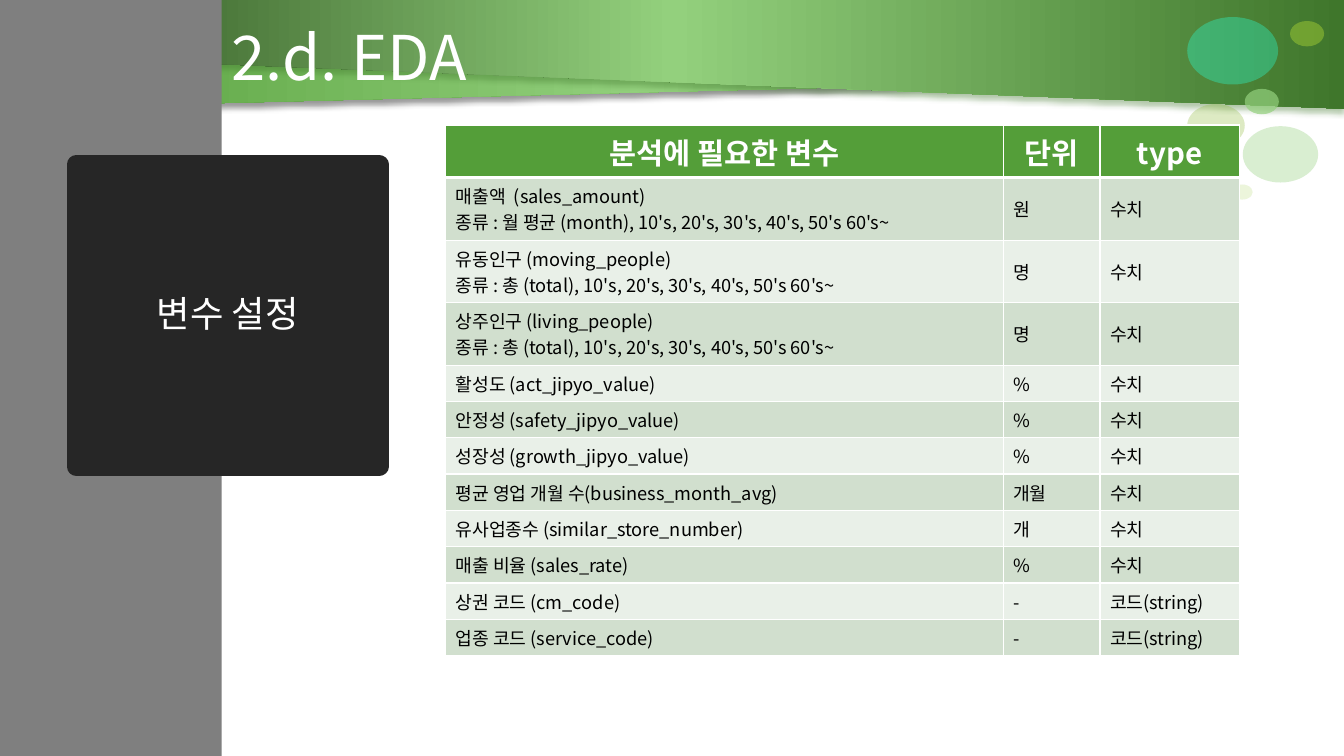
from lxml import etree
from pptx import Presentation
from pptx.dml.color import RGBColor
from pptx.enum.shapes import MSO_SHAPE
from pptx.enum.text import MSO_ANCHOR, MSO_AUTO_SIZE, PP_ALIGN
from pptx.oxml import parse_xml
from pptx.oxml.ns import qn
from pptx.util import Cm, Pt

OVAL, RECTANGLE = MSO_SHAPE.OVAL, MSO_SHAPE.RECTANGLE
MIDDLE, CENTER, LEFT = MSO_ANCHOR.MIDDLE, PP_ALIGN.CENTER, PP_ALIGN.LEFT
FONT = "Noto Sans CJK KR"
DRAWING = 'xmlns:a="http://schemas.openxmlformats.org/drawingml/2006/main"'


def color(hex_string):
    return RGBColor.from_string(hex_string)


def write(text_frame, text, size, hex_string, align=LEFT, bold=False):
    text_frame.text = text
    for paragraph in text_frame.paragraphs:
        paragraph.alignment = align
        for run in paragraph.runs:
            run.font.name = FONT
            run.font.size = Pt(size)
            run.font.bold = bold
            run.font.color.rgb = color(hex_string)
            east_asian = etree.SubElement(run.font._element, qn("a:ea"))
            east_asian.set("typeface", FONT)


presentation = Presentation()
presentation.slide_width, presentation.slide_height = Cm(33.87), Cm(19.05)
slide = presentation.slides.add_slide(presentation.slide_layouts[5])
shapes = slide.shapes

# Green header bands: points in hundredths of a centimetre
bands = [
    ([(0, 0), (3274, 191), (0, 274)], ("549E39", "93D07D", "3F762B"), "000000"),
    ([(3387, 0), (0, 0), (3, 140), (3387, 274)], ("2A4F1C", "93D07D", "3F762B"), "3F762B"),
]
for points, stops, shadow_color in bands:
    builder = shapes.build_freeform(*points[0], scale=Cm(0.01))
    builder.add_line_segments(points[1:], close=True)
    band = builder.convert_to_shape()
    band.line.fill.background()
    gradient_stops = "".join(
        f'<a:gs pos="{index * 50000}"><a:srgbClr val="{stop}"/></a:gs>'
        for index, stop in enumerate(stops))
    gradient = parse_xml(
        f'<a:gradFill {DRAWING} rotWithShape="1"><a:gsLst>{gradient_stops}</a:gsLst>'
        '<a:lin ang="0" scaled="0"/></a:gradFill>')
    shadow = parse_xml(
        f'<a:effectLst {DRAWING}><a:outerShdw blurRad="{Pt(4)}" dist="{Pt(3)}" '
        f'dir="5400000" rotWithShape="0"><a:srgbClr val="{shadow_color}">'
        '<a:alpha val="40000"/></a:srgbClr></a:outerShdw></a:effectLst>')
    properties = band._element.spPr
    properties.find(qn("a:ln")).addprevious(gradient)
    properties.append(shadow)

# Translucent bubbles: left, top, width, height, colour, opacity in percent
bubbles = [
    (31.04, 4.65, 0.53, 0.38, "E8F3D4", 82),
    (29.92, 2.62, 1.45, 1.09, "8AB833", 29),
    (31.32, 3.18, 1.90, 1.42, "93D07D", 35),
    (31.37, 2.24, 0.86, 0.64, "93D07D", 70),
    (29.92, 0.43, 2.29, 1.70, "2BFCCF", 36),
    (32.51, 0.53, 0.86, 0.64, "8AB833", 65),
]
for *box, fill_color, opacity in bubbles:
    bubble = shapes.add_shape(OVAL, *map(Cm, box))
    bubble.shadow.inherit = False
    bubble.line.fill.background()
    bubble.fill.solid()
    bubble.fill.fore_color.rgb = color(fill_color)
    color_element = bubble._element.spPr.find(qn("a:solidFill"))[0]
    etree.SubElement(color_element, qn("a:alpha")).set("val", str(opacity * 1000))

# Grey side bar
side_bar = shapes.add_shape(RECTANGLE, 0, 0, Cm(5.59), Cm(19.05))
side_bar.shadow.inherit = False
side_bar.line.fill.background()
side_bar.fill.solid()
side_bar.fill.fore_color.rgb = color("7F7F7F")

# Dark title block, brought in front of the side bar
title = shapes.title
title.left, title.top, title.width, title.height = Cm(1.93), Cm(4.14), Cm(7.62), Cm(7.62)
title.fill.solid()
title.fill.fore_color.rgb = color("262626")
title.line.color.rgb = color("262626")
title.line.width = Pt(13.75)
etree.SubElement(title.line._get_or_add_ln(), qn("a:round"))
write(title.text_frame, "변수 설정", 26, "FFFFFF", CENTER)
title.text_frame.vertical_anchor = MIDDLE
title.text_frame.auto_size = MSO_AUTO_SIZE.NONE
title.text_frame.paragraphs[0].line_spacing = 0.9
shapes._spTree.append(title._element)

# Variable table
ages = "10's, 20's, 30's, 40's, 50's 60's~"
rows = [
    ("분석에 필요한 변수", "단위", "type"),
    (f"매출액  (sales_amount)\n종류 : 월 평균 (month), {ages}", "원", "수치"),
    (f"유동인구 (moving_people)\n종류 : 총 (total), {ages}", "명", "수치"),
    (f"상주인구 (living_people)\n종류 : 총 (total), {ages}", "명", "수치"),
    ("활성도 (act_jipyo_value)", "%", "수치"),
    ("안정성 (safety_jipyo_value)", "%", "수치"),
    ("성장성 (growth_jipyo_value)", "%", "수치"),
    ("평균 영업 개월 수(business_month_avg)", "개월", "수치"),
    ("유사업종수 (similar_store_number)", "개", "수치"),
    ("매출 비율 (sales_rate)", "%", "수치"),
    ("상권 코드 (cm_code)", "-", "코드(string)"),
    ("업종 코드 (service_code)", "-", "코드(string)"),
]
column_widths = [14.05, 2.44, 3.51]
row_heights = [1.24] + [1.45] * 3 + [0.89] * 8
table = shapes.add_table(
    len(rows), len(column_widths), Cm(11.23), Cm(3.15),
    Cm(sum(column_widths)), Cm(sum(row_heights))).table
for column, width in zip(table.columns, column_widths):
    column.width = Cm(width)
for row_index, (texts, height) in enumerate(zip(rows, row_heights)):
    table.rows[row_index].height = Cm(height)
    is_header = row_index == 0
    for column_index, text in enumerate(texts):
        cell = table.cell(row_index, column_index)
        cell.vertical_anchor = MIDDLE
        cell.fill.solid()
        if is_header:
            cell.fill.fore_color.rgb = color("549E39")
            write(cell.text_frame, text, 21, "FFFFFF", CENTER, bold=True)
        else:
            cell.fill.fore_color.rgb = color("D1DFCE" if row_index % 2 else "E9F0E8")
            write(cell.text_frame, text, 13, "000000")
        # White borders, thicker around the header's lower edge
        for position, side in enumerate(("lnL", "lnR", "lnT", "lnB")):
            thick = (is_header and side == "lnB") or (row_index == 1 and side == "lnT")
            border = parse_xml(
                f'<a:{side} {DRAWING} w="{Pt(3 if thick else 1)}"><a:solidFill>'
                f'<a:srgbClr val="FFFFFF"/></a:solidFill></a:{side}>')
            cell._tc.get_or_add_tcPr().insert(position, border)

# Section heading over the header band
heading = shapes.add_textbox(Cm(5.59), Cm(0.2), Cm(26.59), Cm(2.41))
heading.text_frame.word_wrap = True
heading.text_frame.vertical_anchor = MIDDLE
write(heading.text_frame, "2.d. EDA", 44, "FFFFFF")

presentation.save("out.pptx")
